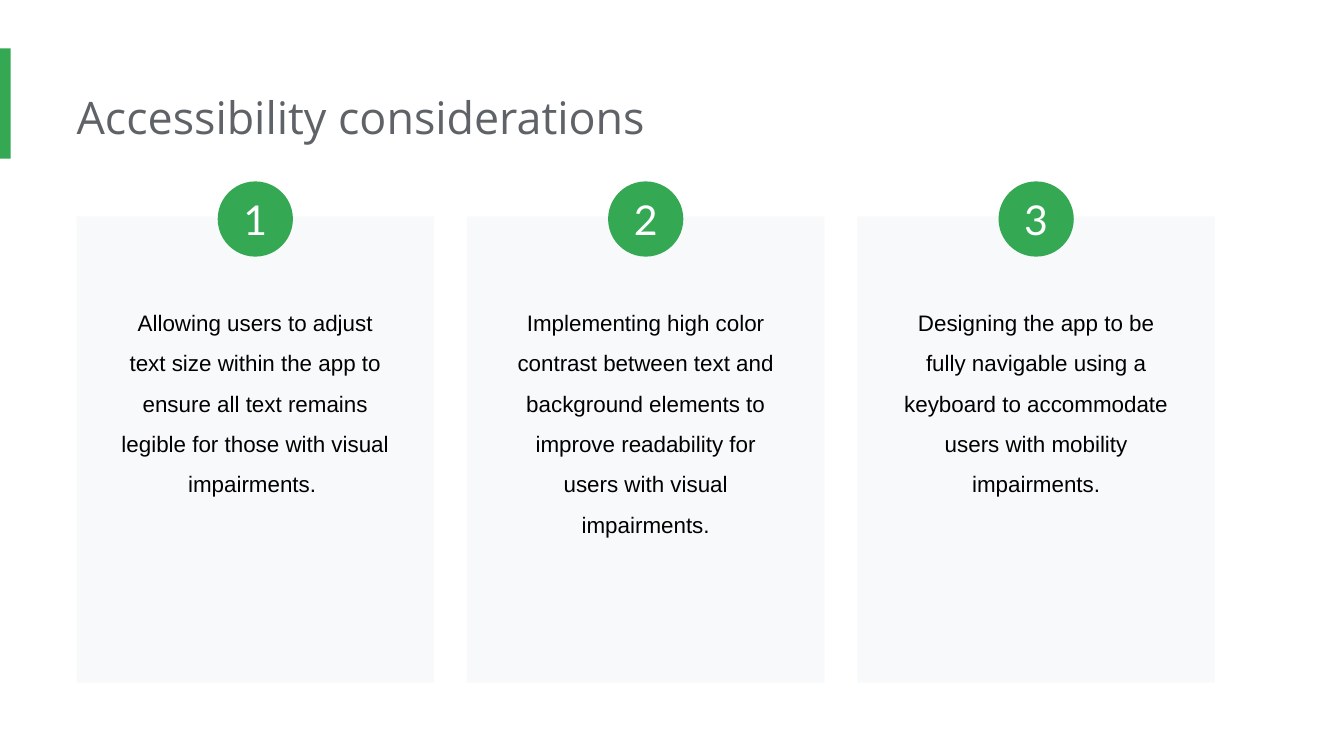
from pptx import Presentation
from pptx.dml.color import RGBColor
from pptx.enum.shapes import MSO_SHAPE
from pptx.enum.text import MSO_ANCHOR, MSO_AUTO_SIZE, PP_ALIGN
from pptx.util import Inches, Pt

RECT, OVAL = MSO_SHAPE.RECTANGLE, MSO_SHAPE.OVAL
TOP, MIDDLE = MSO_ANCHOR.TOP, MSO_ANCHOR.MIDDLE
LEFT, CENTER = PP_ALIGN.LEFT, PP_ALIGN.CENTER
NO_FIT = MSO_AUTO_SIZE.NONE

GREEN, GRAY, PALE = "34A853", "5F6368", "F8F9FA"
BLACK, WHITE = "000000", "FFFFFF"

SLIDE_W = 10
SLIDE_H = SLIDE_W * 9 / 16
CARD_LEFT, CARD_TOP, CARD_W, CARD_H = 0.57, 1.61, 2.66, 3.47
LAST_CARD_LEFT = 6.38
BADGE_TOP, BADGE_SIZE = 1.35, 0.56
TEXT_TOP, TEXT_W = 2.1, 2.24

CONSIDERATIONS = [
    ("Allowing users to adjust text size within the app to ensure all text "
     "remains legible for those with visual impairments. ", 1.72),
    ("Implementing high color contrast between text and background elements "
     "to improve readability for users with visual impairments.", 2.02),
    ("Designing the app to be fully navigable using a keyboard to accommodate "
     "users with mobility impairments.", 2.32),
]


def rgb(color):
    return RGBColor.from_string(color)


def set_text(sp, text, *, size, font, color, align=CENTER, anchor=TOP,
             insets=(0.1, 0.1, 0.1, 0.1), spacing=1.0):
    tf = sp.text_frame
    tf.word_wrap = True
    tf.auto_size = NO_FIT
    tf.vertical_anchor = anchor
    (tf.margin_left, tf.margin_top,
     tf.margin_right, tf.margin_bottom) = map(Inches, insets)
    p = tf.paragraphs[0]
    p.alignment = align
    p.line_spacing = spacing
    r = p.add_run()
    r.text = text
    r.font.size = Pt(size)
    r.font.name = font
    r.font.color.rgb = rgb(color)


def add_block(s, kind, left, top, width, height, color):
    sp = s.shapes.add_shape(kind, *map(Inches, (left, top, width, height)))
    sp.shadow.inherit = False
    sp.fill.solid()
    sp.fill.fore_color.rgb = rgb(color)
    sp.line.fill.background()
    return sp


def add_title(s, text):
    sp = s.shapes.title
    sp.left, sp.top, sp.width, sp.height = map(Inches, (0.57, 0.57, 7.66, 0.61))
    set_text(sp, text, size=24, font="Open Sans", color=GRAY, align=LEFT,
             insets=(0, 0.1, 0.1, 0.1))


def add_card(s, left, text, text_h):
    add_block(s, RECT, left, CARD_TOP, CARD_W, CARD_H, PALE)
    text_left = left + (CARD_W - TEXT_W) / 2
    sp = s.shapes.add_textbox(*map(Inches, (text_left, TEXT_TOP, TEXT_W, text_h)))
    set_text(sp, text, size=12, font="Arial", color=BLACK, spacing=1.5)


def add_badge(s, card_left, number):
    left = card_left + (CARD_W - BADGE_SIZE) / 2
    sp = add_block(s, OVAL, left, BADGE_TOP, BADGE_SIZE, BADGE_SIZE, GREEN)
    set_text(sp, str(number), size=22, font="Lato", color=WHITE,
             anchor=MIDDLE, insets=(0, 0, 0, 0))


def main():
    prs = Presentation()
    prs.slide_width, prs.slide_height = Inches(SLIDE_W), Inches(SLIDE_H)
    s = prs.slides.add_slide(prs.slide_layouts[5])
    add_block(s, RECT, 0, 0.36, 0.08, 0.82, GREEN)
    add_title(s, "Accessibility considerations")
    step = (LAST_CARD_LEFT - CARD_LEFT) / (len(CONSIDERATIONS) - 1)
    for i, (text, text_h) in enumerate(CONSIDERATIONS):
        left = CARD_LEFT + i * step
        add_card(s, left, text, text_h)
        add_badge(s, left, i + 1)
    prs.save("out.pptx")


if __name__ == "__main__":
    main()
